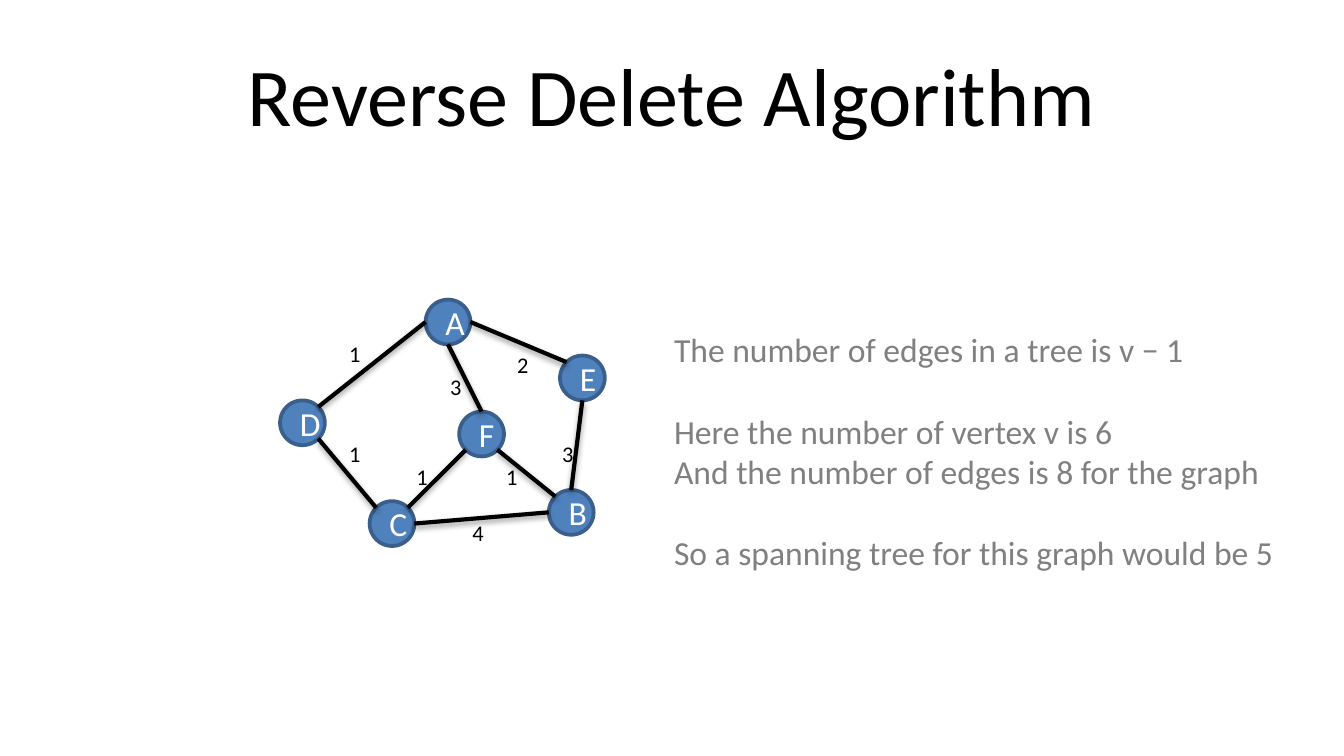
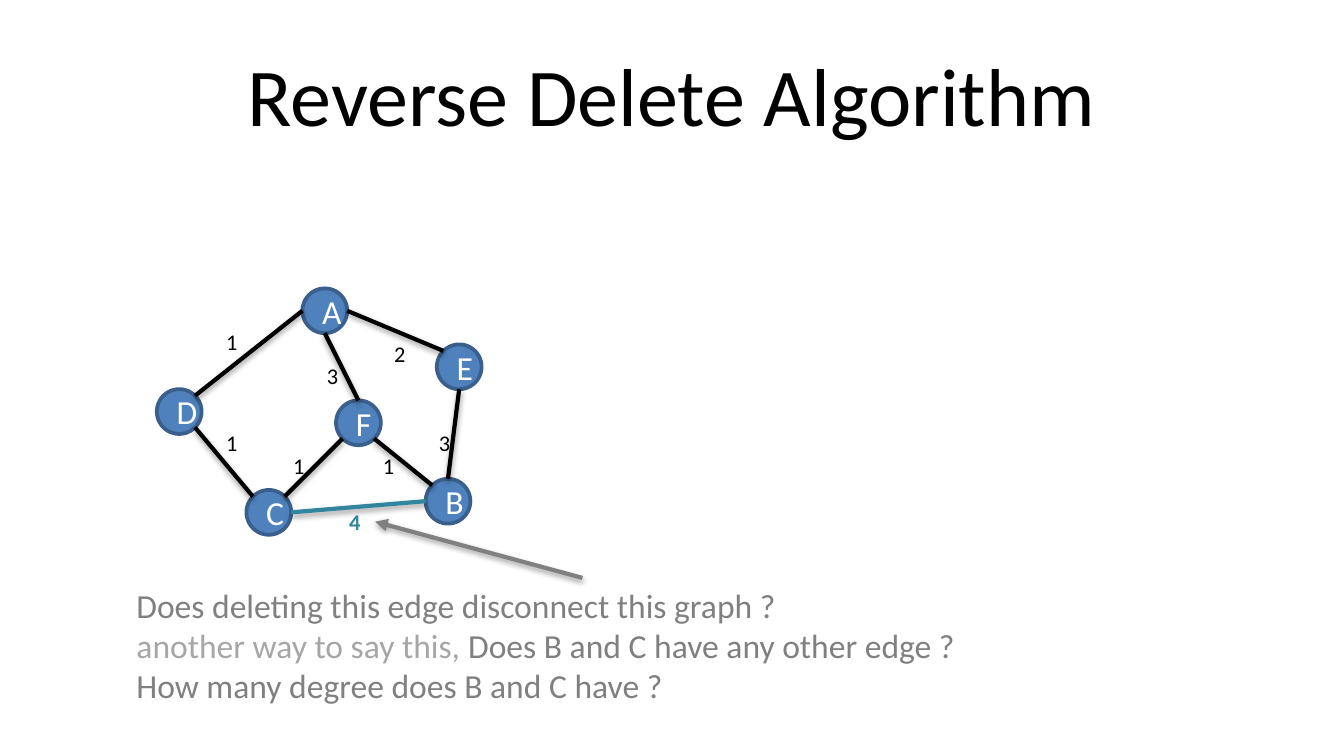
from lxml import etree
from pptx import Presentation
from pptx.dml.color import RGBColor
from pptx.enum.shapes import MSO_CONNECTOR, MSO_SHAPE
from pptx.enum.text import MSO_ANCHOR, MSO_AUTO_SIZE, PP_ALIGN
from pptx.oxml.ns import qn
from pptx.util import Pt

STRAIGHT = MSO_CONNECTOR.STRAIGHT
OVAL = MSO_SHAPE.OVAL
MIDDLE = MSO_ANCHOR.MIDDLE
FIT_SHAPE = MSO_AUTO_SIZE.SHAPE_TO_FIT_TEXT
LEFT, CENTER = PP_ALIGN.LEFT, PP_ALIGN.CENTER

# Shared style
FONT = "Calibri"
BLACK, WHITE, GRAY, PALE_GRAY = "000000", "FFFFFF", "808080", "A6A6A6"
BLUE, DARK_BLUE, TEAL = "4F81BD", "3A5F8C", "31859C"
TITLE = "Reverse Delete Algorithm"
NODE_SIZE = 24
LINE_WIDTH = 2.25
LINE_HEIGHT = 22

# Graph: top left corners relative to the graph's own origin
NODES = {
    "A": (78, 0), "C": (48, 108), "B": (144, 102),
    "D": (0, 54), "E": (150, 30), "F": (96, 60),
}
# Connection sites of an oval, as fractions of its radius from the centre
DIAGONAL = 0.707
SITES = {
    "top": (0, 0, -1), "top left": (1, -DIAGONAL, -DIAGONAL),
    "left": (2, -1, 0), "bottom left": (3, -DIAGONAL, DIAGONAL),
    "bottom": (4, 0, 1), "bottom right": (5, DIAGONAL, DIAGONAL),
    "right": (6, 1, 0), "top right": (7, DIAGONAL, -DIAGONAL),
}
# Start node and site, end node and site, weight, weight position
EDGES = [
    ("A", "left", "D", "top right", 1, (30, 18)),
    ("C", "top left", "D", "bottom right", 1, (30, 72)),
    ("C", "top right", "F", "bottom left", 1, (66, 84)),
    ("B", "top left", "F", "bottom right", 1, (114, 84)),
    ("E", "bottom", "B", "top", 3, (144, 72)),
    ("E", "top left", "A", "right", 2, (120, 24)),
    ("B", "left", "C", "right", 4, (96, 114)),
    ("A", "bottom", "F", "top", 3, (84, 36)),
]

# Slides: each paragraph is a space before it and its (text, colour) spans
SLIDES = [
    {
        "origin": (150, 160.5),
        "marked": None,
        "notes_at": (354, 172.8, 339, 138),
        "wrap": False,
        "notes": [
            (0, [("The number of edges in a tree is v − 1", GRAY)]),
            (LINE_HEIGHT, [("Here the number of vertex v is 6", GRAY)]),
            (0, [("And the number of edges is 8 for the graph", GRAY)]),
            (LINE_HEIGHT, [("So a spanning tree for this graph would be 5", GRAY)]),
        ],
        "arrow": None,
    },
    {
        "origin": (84, 154.5),
        "marked": ("B", "C"),
        "notes_at": (66, 309.6, 492, 72.7),
        "wrap": True,
        "notes": [
            (0, [("Does deleting this edge disconnect this graph ?", GRAY)]),
            (0, [("another way to say this, ", PALE_GRAY),
                 ("Does B and C have any other edge ?", GRAY)]),
            (0, [("How many degree does B and C have ?", GRAY)]),
        ],
        "arrow": ((312, 309.6), (201, 279.5)),
    },
]


def color(hex_value):
    return RGBColor.from_string(hex_value)


def format_span(span, size, hex_value, bold=False):
    span.font.name = FONT
    span.font.size = Pt(size)
    span.font.bold = bold
    span.font.color.rgb = color(hex_value)


def add_text(page, area, paragraphs, size, wrap=False, align=LEFT, bold=False):
    box = page.shapes.add_textbox(*map(Pt, area))
    frame = box.text_frame
    frame.word_wrap = wrap
    for index, (space, spans) in enumerate(paragraphs):
        para = frame.add_paragraph() if index else frame.paragraphs[0]
        para.alignment = align
        para.space_before = Pt(space)
        for text, hex_value in spans:
            span = para.add_run()
            span.text = text
            format_span(span, size, hex_value, bold)
    return frame


def add_title(page):
    frame = add_text(page, (36, 16.5, 648, 67.5), [(0, [(TITLE, BLACK)])],
                     44, wrap=True, align=CENTER)
    frame.vertical_anchor = MIDDLE


def add_line(page, start, end, hex_value):
    line = page.shapes.add_connector(STRAIGHT, *map(Pt, (*start, *end)))
    line.line.color.rgb = color(hex_value)
    line.line.width = Pt(LINE_WIDTH)
    # Soft shadow straight below the line
    effects = etree.SubElement(line._element.spPr, qn("a:effectLst"))
    shadow = etree.SubElement(effects, qn("a:outerShdw"), blurRad=str(Pt(3.15)),
                              dist=str(Pt(1.6)), dir="5400000", rotWithShape="0")
    shade = etree.SubElement(shadow, qn("a:srgbClr"), val=BLACK)
    etree.SubElement(shade, qn("a:alpha"), val="38000")
    return line


def add_node(page, name, left, top):
    node = page.shapes.add_shape(OVAL, *map(Pt, (left, top, NODE_SIZE, NODE_SIZE)))
    node.shadow.inherit = False
    node.fill.solid()
    node.fill.fore_color.rgb = color(BLUE)
    node.line.color.rgb = color(DARK_BLUE)
    node.line.width = Pt(2)
    node.text_frame.text = name
    node.text_frame.vertical_anchor = MIDDLE
    para = node.text_frame.paragraphs[0]
    para.alignment = CENTER
    format_span(para.runs[0], 18, WHITE)
    return node


def add_graph(page, origin, marked):
    def place(offset):
        return origin[0] + offset[0], origin[1] + offset[1]

    def site_point(name, site):
        left, top = place(NODES[name])
        radius = NODE_SIZE / 2
        _, across, down = SITES[site]
        return left + radius * (1 + across), top + radius * (1 + down)

    nodes = {name: add_node(page, name, *place(offset))
             for name, offset in NODES.items()}
    for start, start_site, end, end_site, _, _ in EDGES:
        hex_value = TEAL if (start, end) == marked else BLACK
        edge = add_line(page, site_point(start, start_site),
                        site_point(end, end_site), hex_value)
        # Glue both ends to their nodes
        links = edge._element.find(".//" + qn("p:cNvCxnSpPr"))
        for tag, name, site in (("a:stCxn", start, start_site),
                                ("a:endCxn", end, end_site)):
            etree.SubElement(links, qn(tag), id=str(nodes[name].shape_id),
                             idx=str(SITES[site][0]))
    for start, _, end, _, weight, offset in EDGES:
        is_marked = (start, end) == marked
        hex_value = TEAL if is_marked else BLACK
        frame = add_text(page, (*place(offset), 21, 21.6),
                         [(0, [(str(weight), hex_value)])], 12, bold=is_marked)
        frame.auto_size = FIT_SHAPE


def main():
    deck = Presentation()
    deck.slide_width, deck.slide_height = Pt(720), Pt(405)
    for content in SLIDES:
        page = deck.slides.add_slide(deck.slide_layouts[6])
        add_title(page)
        add_graph(page, content["origin"], content["marked"])
        frame = add_text(page, content["notes_at"], content["notes"], 18,
                         wrap=content["wrap"])
        frame.auto_size = FIT_SHAPE
        if content["arrow"]:
            arrow = add_line(page, *content["arrow"], GRAY)
            outline = arrow._element.spPr.find(qn("a:ln"))
            etree.SubElement(outline, qn("a:tailEnd"), type="triangle")
    deck.save("out.pptx")


if __name__ == "__main__":
    main()
